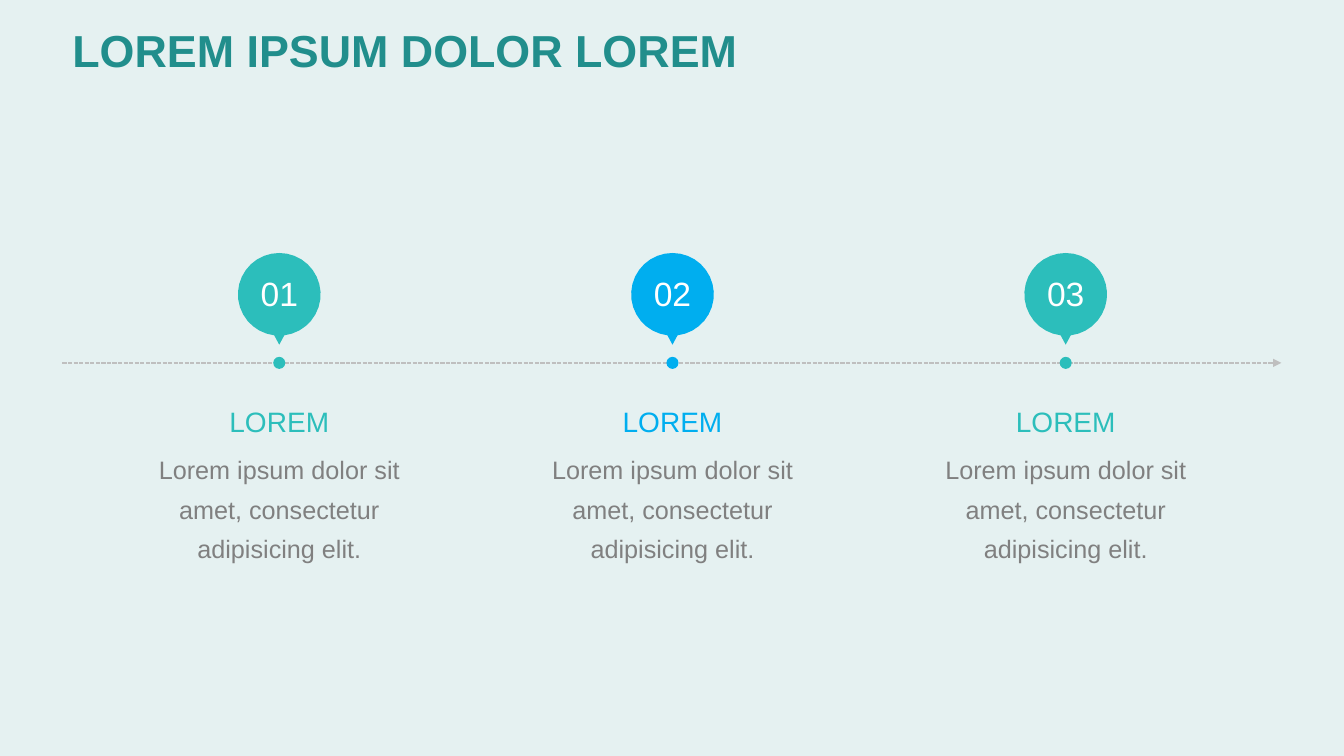
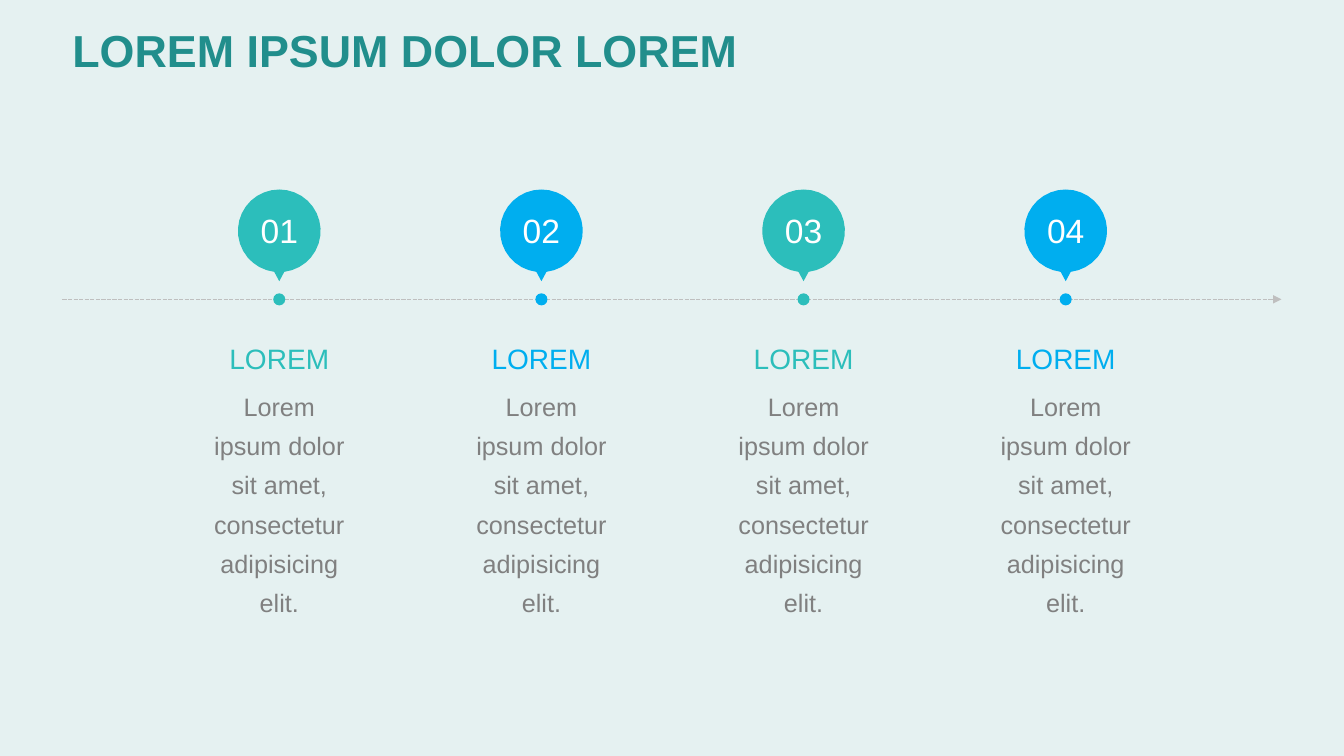
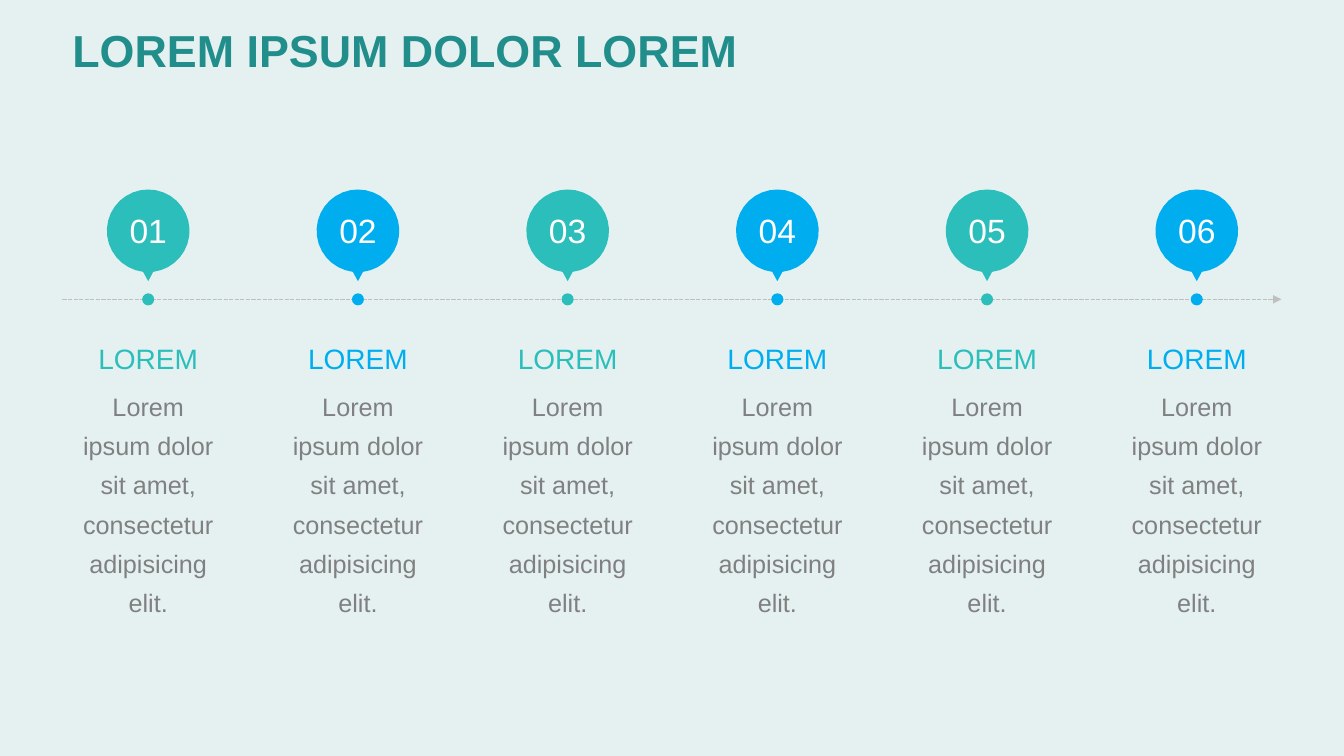
from math import asin, cos, pi, sin

from lxml import etree
from pptx import Presentation
from pptx.dml.color import RGBColor
from pptx.enum.dml import MSO_LINE
from pptx.enum.shapes import MSO_CONNECTOR
from pptx.enum.text import MSO_ANCHOR, PP_ALIGN
from pptx.oxml.ns import qn
from pptx.util import Inches, Pt

TITLE = "LOREM IPSUM DOLOR LOREM"
STEP_HEADING = "LOREM"
STEP_TEXT = "Lorem ipsum dolor sit amet, consectetur adipisicing elit."
TIMELINES = [
    dict(steps=3, axis=3.6, first=2.77, last=10.57, width=2.78, text_height=2.22),
    dict(steps=4, axis=2.97, first=2.77, last=10.57, width=1.42, text_height=3.12),
    dict(steps=6, axis=2.97, first=1.47, last=11.87, width=1.42, text_height=3.12),
]

FONT = "Arial"
BACKGROUND, TITLE_COLOR, AXIS_COLOR = "E5F1F1", "218E8C", "BFBFBF"
TEXT_COLOR, NUMBER_COLOR = "808080", "FFFFFF"
STEP_COLORS = ["2CBEBB", "00AEEF"]

AXIS_LEFT, AXIS_RIGHT = 0.62, 12.71
HEAD_RADIUS, HEAD_RISE, HEAD_SEGMENTS = 0.41, 0.68, 32
POINTER_HALF_WIDTH, POINTER_RISE = 0.05, 0.18
DOT_RADIUS, DOT_SEGMENTS = 0.06, 12
HEADING_DROP, HEADING_HEIGHT = 0.24, 0.58

CENTER, LEFT = PP_ALIGN.CENTER, PP_ALIGN.LEFT
MIDDLE, TOP = MSO_ANCHOR.MIDDLE, MSO_ANCHOR.TOP


def rgb(color):
    return RGBColor.from_string(color)


def write(shape, text, size, color, align=CENTER, anchor=MIDDLE, spacing=1.0, bold=False):
    frame = shape.text_frame
    frame.text = text
    frame.word_wrap = True
    frame.vertical_anchor = anchor
    paragraph = frame.paragraphs[0]
    paragraph.alignment = align
    paragraph.line_spacing = spacing
    font = paragraph.runs[0].font
    font.name, font.size, font.bold = FONT, Pt(size), bold
    font.color.rgb = rgb(color)


def set_insets(shape, bottom=0):
    frame = shape.text_frame
    frame.margin_left = frame.margin_top = frame.margin_right = 0
    frame.margin_bottom = Inches(bottom)


def add_text(shapes, box, *args, **style):
    textbox = shapes.add_textbox(*map(Inches, box))
    write(textbox, *args, **style)
    return textbox


def arc(x, y, radius, segments, gap=0.0):
    """Points clockwise round a circle from its bottom, leaving out gap radians either side."""
    angles = [gap + (2 * pi - 2 * gap) * i / segments for i in range(segments + 1)]
    return [(Inches(x - radius * sin(a)), Inches(y + radius * cos(a))) for a in angles]


def add_pin(shapes, x, axis, number, color):
    """A numbered balloon pointing at its dot on the axis, as one outline."""
    gap = asin(POINTER_HALF_WIDTH / HEAD_RADIUS)
    pointer_tip = (Inches(x), Inches(axis - POINTER_RISE))
    balloon = arc(x, axis - HEAD_RISE, HEAD_RADIUS, HEAD_SEGMENTS, gap) + [pointer_tip]
    dot = arc(x, axis, DOT_RADIUS, DOT_SEGMENTS)
    builder = shapes.build_freeform(*balloon[0])
    builder.add_line_segments(balloon[1:])
    builder.move_to(*dot[0])
    builder.add_line_segments(dot[1:])
    pin = builder.convert_to_shape()
    pin.shadow.inherit = False
    pin.fill.solid()
    pin.fill.fore_color.rgb = rgb(color)
    pin.line.fill.background()
    write(pin, number, 24, NUMBER_COLOR)
    set_insets(pin, bottom=0.35)


def add_axis(slide, y):
    axis = slide.shapes.add_connector(
        MSO_CONNECTOR.STRAIGHT, Inches(AXIS_LEFT), Inches(y), Inches(AXIS_RIGHT), Inches(y))
    axis.line.color.rgb = rgb(AXIS_COLOR)
    axis.line.width = Pt(1)
    axis.line.dash_style = MSO_LINE.SQUARE_DOT
    properties = axis._element.spPr
    etree.SubElement(properties.find(qn("a:ln")), qn("a:tailEnd"), type="triangle")
    etree.SubElement(properties, qn("a:effectLst"))


def add_step(slide, index, x, timeline):
    color = STEP_COLORS[index % len(STEP_COLORS)]
    axis, width = timeline["axis"], timeline["width"]
    left, heading_top = x - width / 2, axis + HEADING_DROP
    shapes = slide.shapes.add_group_shape().shapes
    add_pin(shapes, x, axis, f"{index + 1:02}", color)
    heading = add_text(shapes, (left, heading_top, width, HEADING_HEIGHT),
                       STEP_HEADING, 20, color, spacing=1.3)
    body = add_text(shapes, (left, heading_top + HEADING_HEIGHT, width, timeline["text_height"]),
                    STEP_TEXT, 18, TEXT_COLOR, anchor=TOP, spacing=1.3)
    set_insets(heading)
    set_insets(body)


def add_timeline_slide(prs, timeline):
    slide = prs.slides.add_slide(prs.slide_layouts[6])
    add_axis(slide, timeline["axis"])
    pitch = (timeline["last"] - timeline["first"]) / (timeline["steps"] - 1)
    for index in range(timeline["steps"]):
        add_step(slide, index, timeline["first"] + index * pitch, timeline)
    add_text(slide.shapes, (0.62, 0.18, 11.96, 0.7), TITLE, 32, TITLE_COLOR,
             align=LEFT, spacing=0.9, bold=True)


def main():
    prs = Presentation()
    prs.slide_width, prs.slide_height = Inches(13.33), Inches(7.5)
    background = prs.slide_master.background.fill
    background.solid()
    background.fore_color.rgb = rgb(BACKGROUND)
    for timeline in TIMELINES:
        add_timeline_slide(prs, timeline)
    prs.save("out.pptx")


if __name__ == "__main__":
    main()
